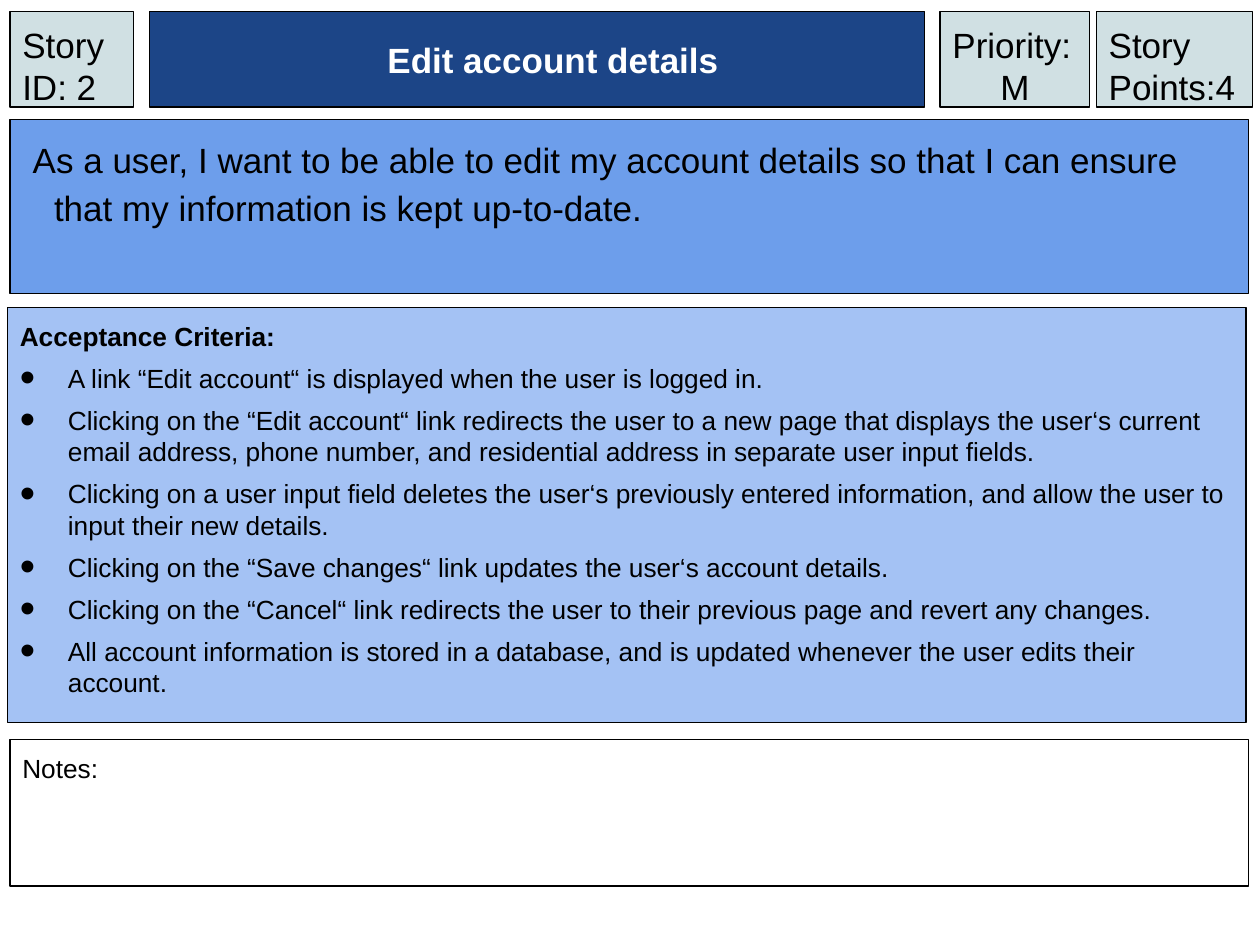
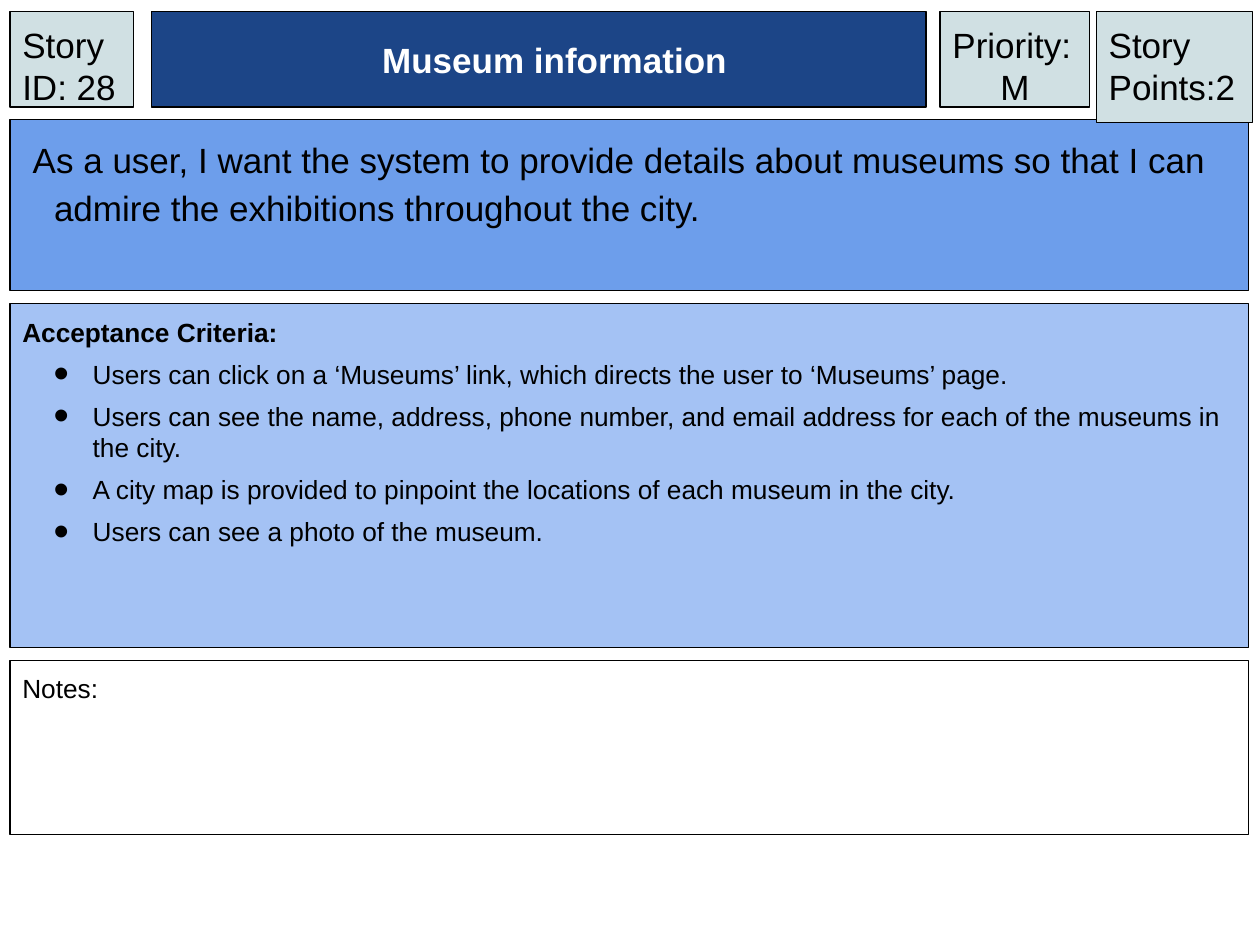
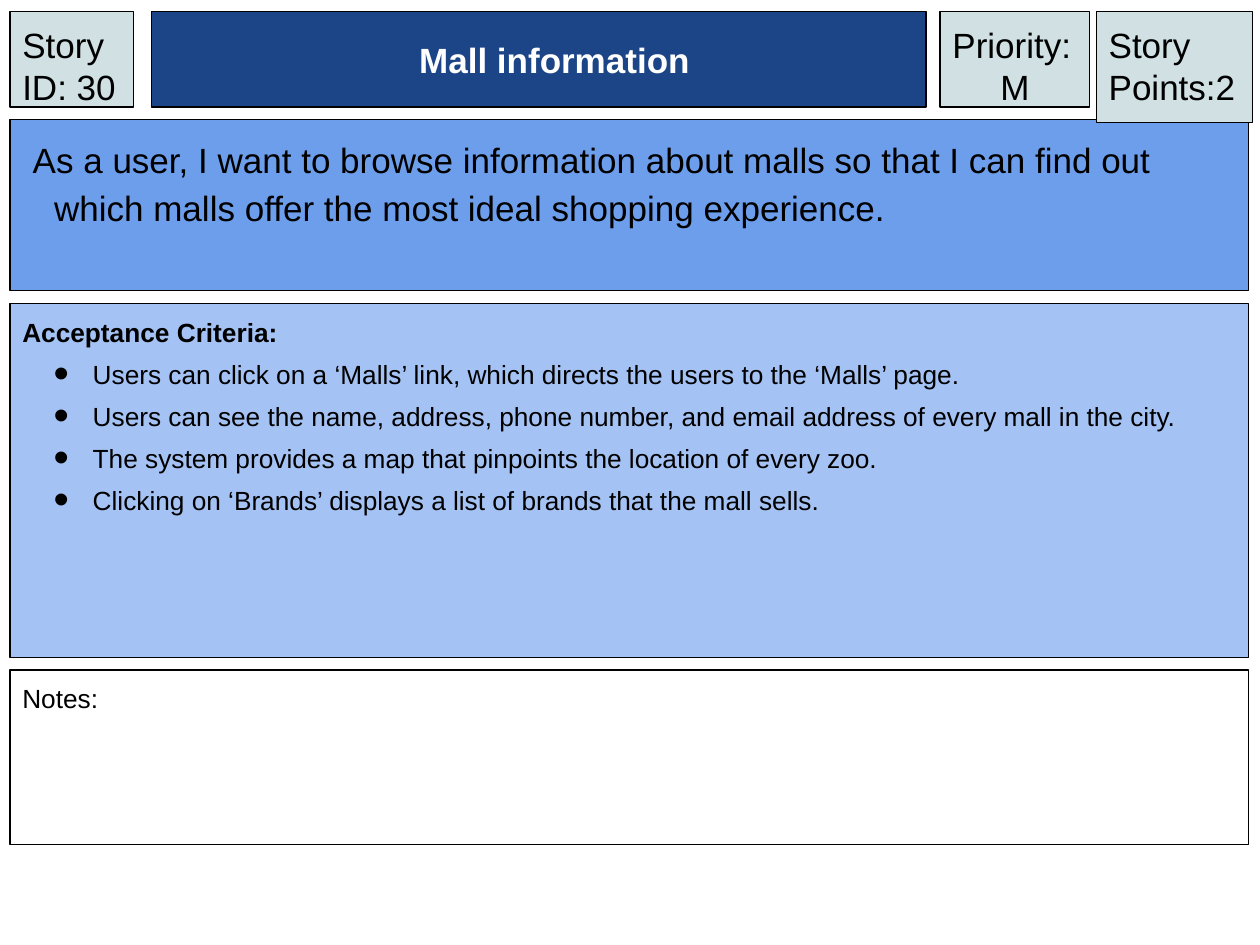
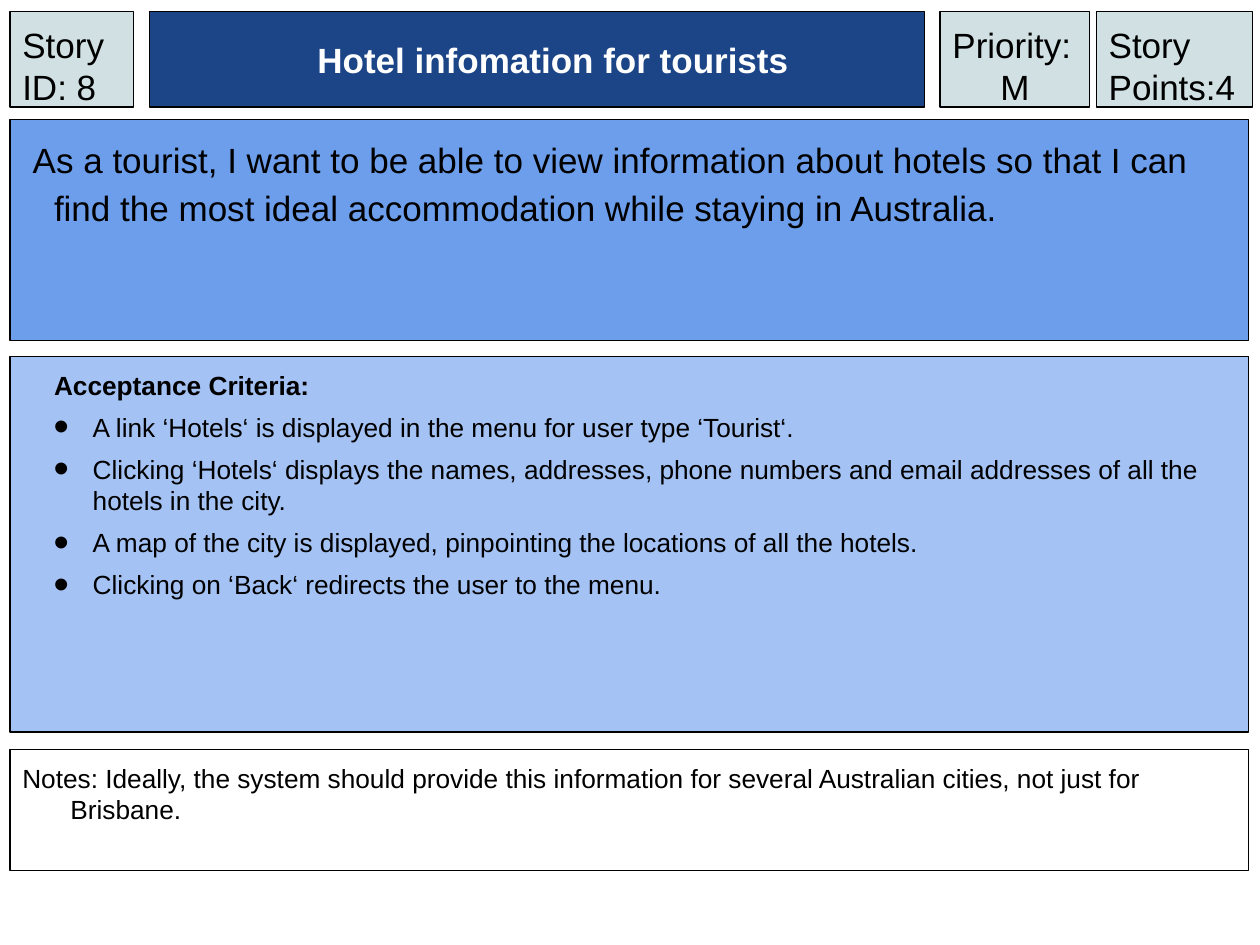
"""Build four user story cards, one to a slide."""
from lxml import etree
from pptx import Presentation
from pptx.dml.color import RGBColor
from pptx.enum.shapes import MSO_SHAPE
from pptx.enum.text import MSO_ANCHOR, PP_ALIGN
from pptx.oxml.ns import qn
from pptx.util import Cm, Pt

RECT = MSO_SHAPE.RECTANGLE
TOP, MIDDLE = MSO_ANCHOR.TOP, MSO_ANCHOR.MIDDLE
LEFT, CENTER = PP_ALIGN.LEFT, PP_ALIGN.CENTER

NAVY, BLUE, PALE, MIST = "1C4587", "6D9EEB", "A4C2F4", "D0E0E3"
BLACK, WHITE = "000000", "FFFFFF"
EDGE, HEAD, WIDE, TALL = 0.2, 0.23, 24.97, 1.93

FRAME = {"word_wrap": True, "margin_left": Cm(0.25), "margin_right": Cm(0.25),
         "margin_top": Cm(0.25), "margin_bottom": Cm(0.25)}
LARGE = {"name": "Arial", "size": Pt(20), "bold": False}
SMALL = {"name": "Arial", "size": Pt(15), "bold": False}
TITLE = {**LARGE, "bold": True}
LABEL = {**SMALL, "bold": True}
PLAIN = {"alignment": LEFT}
MID = {"alignment": CENTER}
LOOSE = {"alignment": LEFT, "line_spacing": 1.15}
SPACED = {"alignment": LEFT, "space_before": Pt(6)}
FLUSH, HANG, INSET = (0, 0), (0.97, -0.97), (1.42, -0.79)
BULLET = (("buClr", {}), ("buSzPct", {"val": "167000"}),
          ("buFont", {"typeface": "Arial"}), ("buChar", {"char": "•"}))


def paint(color, value):
    color.rgb = RGBColor.from_string(value)


def add_box(slide, place, fill, lines, ink=BLACK, anchor=TOP):
    box = slide.shapes.add_shape(RECT, *[Cm(n) for n in place])
    box.shadow.inherit = False
    box.fill.solid()
    paint(box.fill.fore_color, fill)
    paint(box.line.color, BLACK)
    box.line.width = Pt(0.75)
    frame = box.text_frame
    for key, value in {**FRAME, "vertical_anchor": anchor}.items():
        setattr(frame, key, value)
    for i, (text, font, form, indent, dot) in enumerate(lines):
        para = frame.add_paragraph() if i else frame.paragraphs[0]
        run = para.add_run()
        run.text = text
        for target, values in ((para, form), (run.font, font)):
            for key, value in values.items():
                setattr(target, key, value)
        paint(run.font.color, ink)
        props = para._p.get_or_add_pPr()
        for key, value in zip(("marL", "indent"), indent):
            props.set(key, str(int(Cm(value))))
        if dot:
            for tag, values in BULLET:
                node = etree.SubElement(props, qn("a:" + tag), values)
                if tag == "buClr":
                    etree.SubElement(node, qn("a:srgbClr"), {"val": BLACK})


cards = [
    {"id": 2, "title": "Edit account details", "points": 4,
     "story": "As a user, I want to be able to edit my account details so that "
              "I can ensure that my information is kept up-to-date.",
     "tests": [
         "A link “Edit account“ is displayed when the user is logged in.",
         "Clicking on the “Edit account“ link redirects the user to a new page "
         "that displays the user‘s current email address, phone number, and "
         "residential address in separate user input fields.",
         "Clicking on a user input field deletes the user‘s previously entered "
         "information, and allow the user to input their new details.",
         "Clicking on the “Save changes“ link updates the user‘s account details.",
         "Clicking on the “Cancel“ link redirects the user to their previous "
         "page and revert any changes.",
         "All account information is stored in a database, and is updated "
         "whenever the user edits their account."],
     "notes": "Notes:", "label": HANG, "indent": HANG, "left": 0.15,
     "start": 3.02, "deep": TALL, "high": 3.51,
     "body": (6.2, 8.36), "foot": (14.91, 2.95)},
    {"id": 28, "title": "Museum information", "points": 2,
     "story": "As a user, I want the system to provide details about museums so "
              "that I can admire the exhibitions throughout the city.",
     "tests": [
         "Users can click on a ‘Museums’ link, which directs the user to "
         "‘Museums’ page.",
         "Users can see the name, address, phone number, and email address for "
         "each of the museums in the city.",
         "A city map is provided to pinpoint the locations of each museum in "
         "the city.",
         "Users can see a photo of the museum."],
     "notes": "Notes:", "label": HANG, "indent": INSET, "left": EDGE,
     "start": 3.05, "deep": 2.24, "high": 3.45,
     "body": (6.12, 6.93), "foot": (13.31, 3.51)},
    {"id": 30, "title": "Mall information", "points": 2,
     "story": "As a user, I want to browse information about malls so that I can "
              "find out which malls offer the most ideal shopping experience.",
     "tests": [
         "Users can click on a ‘Malls’ link, which directs the users to the "
         "‘Malls’ page.",
         "Users can see the name, address, phone number, and email address of "
         "every mall in the city.",
         "The system provides a map that pinpoints the location of every zoo.",
         "Clicking on ‘Brands’ displays a list of brands that the mall sells."],
     "notes": "Notes:", "label": HANG, "indent": INSET, "left": EDGE,
     "start": 3.05, "deep": 2.24, "high": 3.45,
     "body": (6.12, 7.14), "foot": (13.51, 3.51)},
    {"id": 8, "title": "Hotel infomation for tourists", "points": 4,
     "story": "As a tourist, I want to be able to view information about hotels "
              "so that I can find the most ideal accommodation while staying in "
              "Australia.",
     "tests": [
         "A link ‘Hotels‘ is displayed in the menu for user type ‘Tourist‘.",
         "Clicking ‘Hotels‘ displays the names, addresses, phone numbers and "
         "email addresses of all the hotels in the city.",
         "A map of the city is displayed, pinpointing the locations of all the "
         "hotels.",
         "Clicking on ‘Back‘ redirects the user to the menu."],
     "notes": "Notes: Ideally, the system should provide this information for "
              "several Australian cities, not just for Brisbane.",
     "label": (0.64, 0), "indent": INSET, "left": EDGE,
     "start": 3.02, "deep": TALL, "high": 4.45,
     "body": (7.19, 7.57), "foot": (15.11, 2.44)},
]

deck = Presentation()
deck.slide_width, deck.slide_height = Cm(25.4), Cm(19.05)

for card in cards:
    slide = deck.slides.add_slide(deck.slide_layouts[6])
    add_box(slide, (EDGE, 2.41, WIDE, card["high"]), BLUE,
            [(card["story"], LARGE, LOOSE, (0.64, -0.43), False)])
    add_box(slide, (card["start"], HEAD, 15.62, TALL), NAVY,
            [(card["title"], TITLE, MID, (0, 0.64), False)], WHITE, MIDDLE)
    top, high = card["body"]
    tests = [("Acceptance Criteria:", LABEL, SPACED, card["label"], False)]
    tests += [(text, SMALL, SPACED, card["indent"], True) for text in card["tests"]]
    add_box(slide, (card["left"], top, WIDE, high), PALE, tests)
    top, high = card["foot"]
    add_box(slide, (EDGE, top, WIDE, high), WHITE,
            [(card["notes"], SMALL, SPACED, HANG, False)])
    add_box(slide, (22.1, HEAD, 3.15, card["deep"]), MIST,
            [(f"Story Points:{card['points']}", LARGE, PLAIN, FLUSH, False)])
    add_box(slide, (18.95, HEAD, 3.02, TALL), MIST,
            [("Priority:", LARGE, PLAIN, FLUSH, False),
             ("M", LARGE, MID, FLUSH, False)])
    add_box(slide, (EDGE, HEAD, 2.49, TALL), MIST,
            [(f"Story ID: {card['id']}", LARGE, PLAIN, FLUSH, False)])

deck.save("out.pptx")
